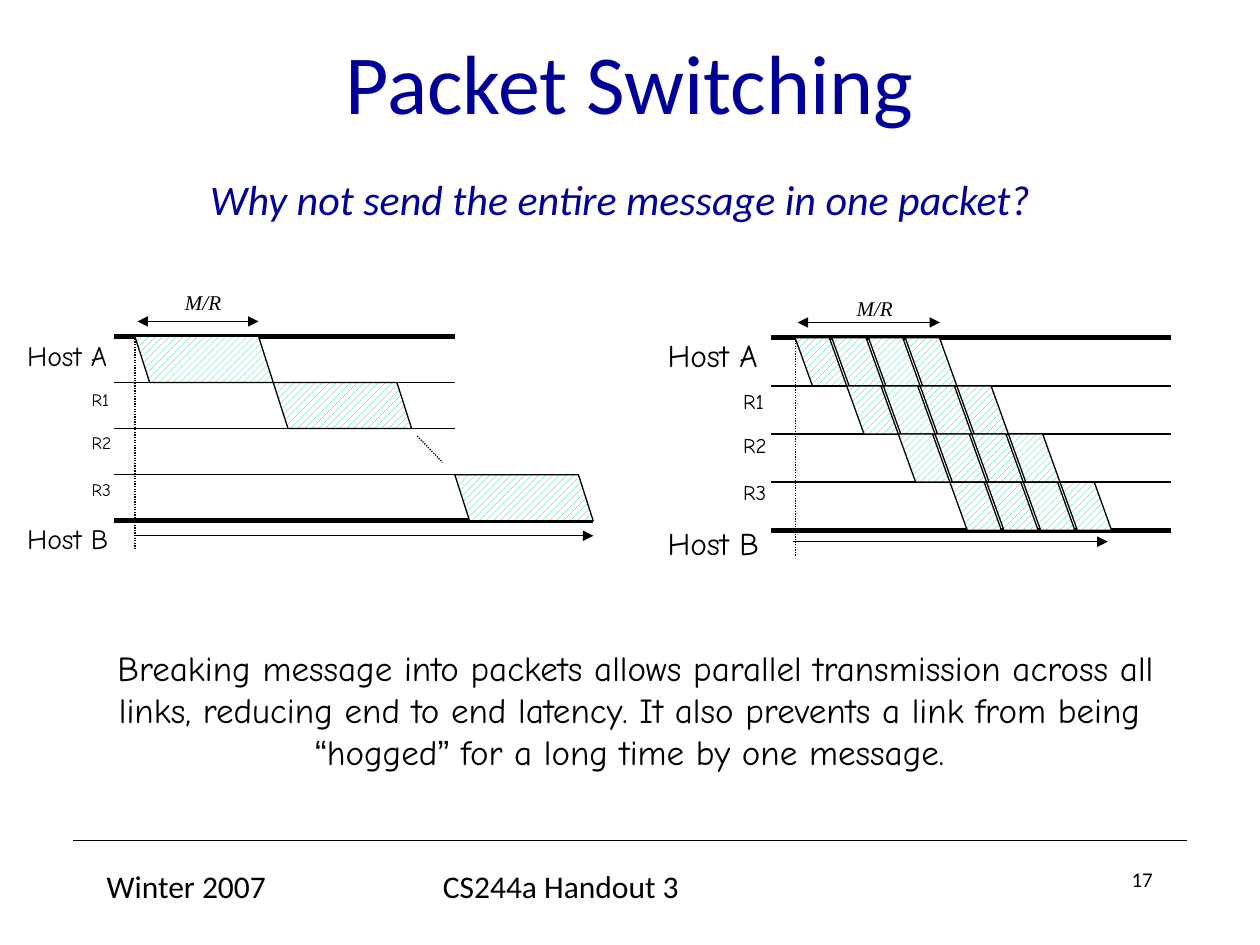
import pptx
import pptx.dml.color
import pptx.enum.dml
import pptx.enum.shapes
import pptx.enum.text
import pptx.oxml.ns
import pptx.util
from lxml import etree

Cm = pptx.util.Cm
Pt = pptx.util.Pt
RGBColor = pptx.dml.color.RGBColor
ALIGN = pptx.enum.text.PP_ALIGN
ANCHOR = pptx.enum.text.MSO_ANCHOR
DOTTED = pptx.enum.dml.MSO_LINE.ROUND_DOT

BLACK = RGBColor(0x00, 0x00, 0x00)
WHITE = RGBColor(0xFF, 0xFF, 0xFF)
NAVY = RGBColor(0x00, 0x00, 0x99)
GREEN = RGBColor(0x00, 0xCC, 0x99)

HAND = "Comic Neue"
SANS = "Calibri"
SERIF = "Times New Roman"
THIN, THICK = 0.75, 3


class SlideBuilder:
    def __init__(self, slide):
        self.slide = slide

    def text(self, runs, left, top, width, height, size, font=SANS, color=BLACK,
             align=ALIGN.LEFT, anchor=ANCHOR.TOP, wrap=True, italic=False):
        """Add a text box; runs is a string or a list of (text, font overrides)."""
        box = self.slide.shapes.add_textbox(Cm(left), Cm(top), Cm(width), Cm(height))
        frame = box.text_frame
        frame.word_wrap = wrap
        frame.vertical_anchor = anchor
        paragraph = frame.paragraphs[0]
        paragraph.alignment = align
        paragraph.font.name = font
        paragraph.font.size = Pt(size)
        paragraph.font.italic = italic
        paragraph.font.color.rgb = color
        for content, overrides in [(runs, {})] if isinstance(runs, str) else runs:
            if content == "\n":
                paragraph.add_line_break()
                continue
            run = paragraph.add_run()
            run.text = content
            for name, value in overrides.items():
                setattr(run.font, name, value)

    def line(self, x1, y1, x2, y2, width=THIN, dash=None, arrows=()):
        """Draw a line; arrows may hold "headEnd" (start) and "tailEnd" (end)."""
        connector = self.slide.shapes.add_connector(
            pptx.enum.shapes.MSO_CONNECTOR.STRAIGHT, Cm(x1), Cm(y1), Cm(x2), Cm(y2))
        connector.line.width = Pt(width)
        connector.line.color.rgb = BLACK
        if dash:
            connector.line.dash_style = dash
        outline = connector.line._get_or_add_ln()
        for end in arrows:
            etree.SubElement(outline, pptx.oxml.ns.qn(f"a:{end}"), type="triangle")
        etree.SubElement(connector._element.spPr, pptx.oxml.ns.qn("a:effectLst"))

    def packet(self, left, top, width, height, skew):
        shape = self.slide.shapes.add_shape(
            pptx.enum.shapes.MSO_SHAPE.PARALLELOGRAM,
            Cm(left), Cm(top), Cm(width), Cm(height))
        shape.adjustments[0] = skew
        shape._element.spPr.xfrm.set("flipH", "1")
        shape.shadow.inherit = False
        shape.fill.patterned()
        shape.fill.pattern = pptx.enum.dml.MSO_PATTERN.WIDE_UPWARD_DIAGONAL
        shape.fill.fore_color.rgb = GREEN
        shape.fill.back_color.rgb = WHITE
        shape.line.color.rgb = BLACK
        shape.line.width = Pt(THIN)

    def timing_diagram(self, left, right, bottom_right, top, row, start, packets,
                       packet_width, skew, host_left, host_tops, host_size,
                       router_left, router_tops, router_size, message, message_label,
                       delay, guide_bottom):
        """Draw link lines, labels, arrows and packets given as (x, row number)."""
        for name, label_top in zip(("Host A", "Host B"), host_tops):
            self.text(name, host_left, label_top, 2.5, 1, host_size, HAND, wrap=False)
        for number, label_top in enumerate(router_tops, 1):
            self.text(f"R{number}", router_left, label_top, 1, 0.75,
                      router_size, HAND, wrap=False)
        for level in range(5):
            y = top + level * row
            self.line(left, y, bottom_right if level == 4 else right, y,
                      THICK if level in (0, 4) else THIN)
        x1, x2, y = message
        self.line(x1, y, x2, y, arrows=("headEnd", "tailEnd"))
        self.text("M/R", *message_label, 1.24, 0.76, 12, SERIF, wrap=False, italic=True)
        for x, level in packets:
            self.packet(x, top + level * row, packet_width, row, skew)
        self.line(start, top, start, guide_bottom, dash=DOTTED)
        x1, x2, y = delay
        self.line(x1, y, x2, y, arrows=("tailEnd",))


def main():
    presentation = pptx.Presentation()
    presentation.slide_width = Cm(25.4)
    presentation.slide_height = Cm(19.05)
    builder = SlideBuilder(presentation.slides.add_slide(presentation.slide_layouts[6]))

    builder.line(1.47, 16.94, 23.93, 16.94)
    builder.text("Winter 2007", 1.9, 17.35, 5.29, 1.27, 18)
    builder.text("CS244a Handout 3", 8.68, 17.35, 8.04, 1.27, 18)
    builder.text("17", 18.2, 17.35, 5.29, 1.27, 12, align=ALIGN.RIGHT)

    builder.text(
        [("Packet Switching", {}), ("\n", {}),
         ("Why not send the entire message in one packet?",
          {"size": Pt(24), "italic": True}),
         (" ", {})],
        1.9, 1.06, 21.59, 3.18, 48, color=NAVY, align=ALIGN.CENTER, anchor=ANCHOR.MIDDLE)
    quote = {"name": "Arial"}
    builder.text(
        [(" Breaking message into packets allows parallel transmission across all links, "
          "reducing end to end latency. It also prevents a link from being ", {}),
         ("“", quote), ("hogged", {}), ("”", quote),
         (" for a long time by one message.", {})],
        1.27, 12.9, 22.86, 2.8, 20, HAND, align=ALIGN.CENTER)

    start, width, step = 16.03, 1.04, 0.74
    builder.timing_diagram(
        left=15.54, right=23.6, bottom_right=23.6, top=6.81, row=0.97, start=start,
        packets=[(start + level * width + number * step, level)
                 for level in range(4) for number in range(4)],
        packet_width=width, skew=0.36,
        host_left=13.21, host_tops=(6.65, 10.44), host_size=18,
        router_left=14.73, router_tops=(7.7, 8.59, 9.55), router_size=12,
        message=(16.08, 18.95, 6.5), message_label=(17.02, 5.84),
        delay=(15.98, 22.33, 10.92), guide_bottom=11.23)

    start, width, end = 2.72, 2.79, 11.96
    builder.timing_diagram(
        left=2.29, right=9.17, bottom_right=end, top=6.78, row=0.93, start=start,
        packets=[(start, 0), (start + width, 1), (end - width, 3)],
        packet_width=width, skew=0.32,
        host_left=0.3, host_tops=(6.71, 10.39), host_size=16,
        router_left=1.6, router_tops=(7.72, 8.59, 9.53), router_size=10,
        message=(2.77, 5.21, 6.48), message_label=(3.48, 5.72),
        delay=(start, end, 10.8), guide_bottom=11.05)
    builder.line(8.41, 8.79, 8.92, 9.32, dash=DOTTED)

    presentation.save("out.pptx")


if __name__ == "__main__":
    main()
